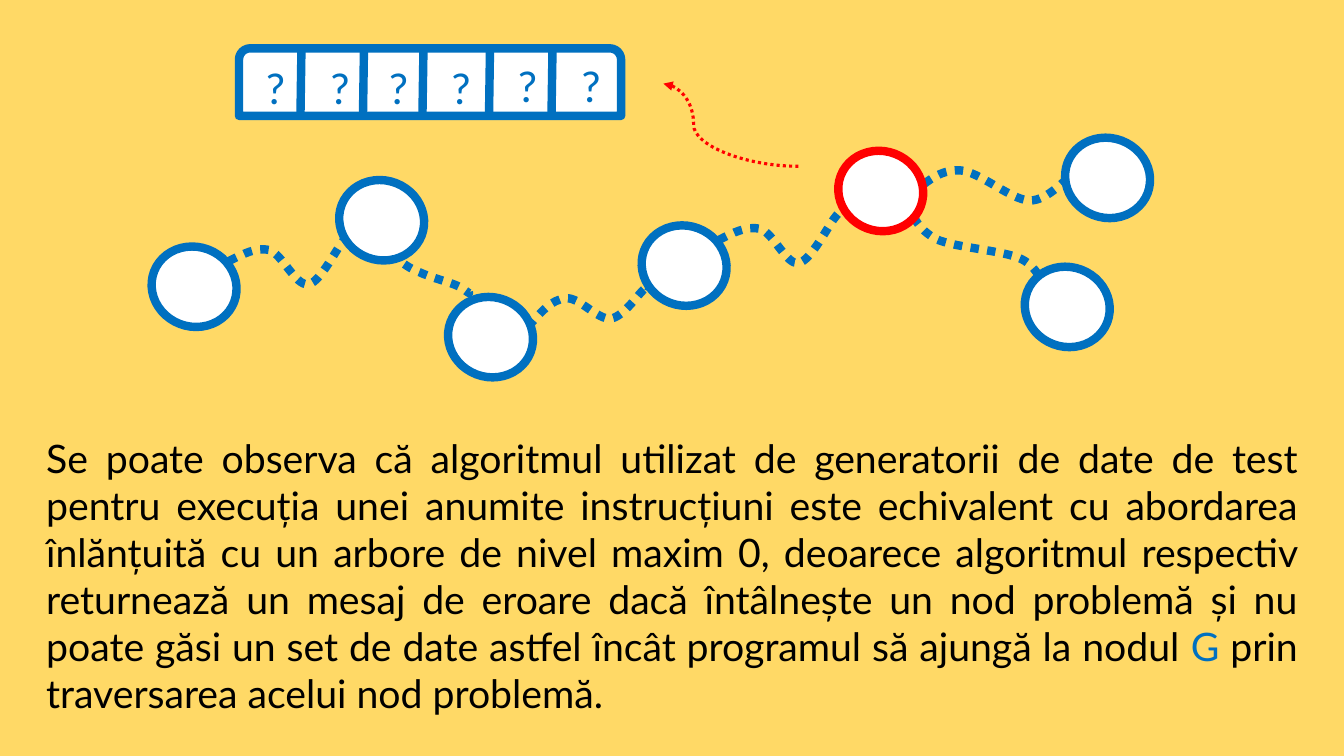
import dataclasses
import typing

import pptx
import pptx.dml.color
import pptx.enum.dml
import pptx.enum.shapes
import pptx.enum.text
import pptx.oxml
import pptx.oxml.ns
import pptx.util

RGB = pptx.dml.color.RGBColor
GOLD = RGB(0xFF, 0xD9, 0x66)
BLUE = RGB(0x00, 0x70, 0xC0)
RED = RGB(0xFF, 0x00, 0x00)
WHITE = RGB(0xFF, 0xFF, 0xFF)
BLACK = RGB(0x00, 0x00, 0x00)

KIND = pptx.enum.shapes.MSO_SHAPE
WIRE = pptx.enum.shapes.MSO_CONNECTOR
ALIGN = pptx.enum.text.PP_ALIGN
DOTS = pptx.enum.dml.MSO_LINE.ROUND_DOT
QN = pptx.oxml.ns.qn
SCALE = 9144  # EMU in one px, 100 px to the inch
TILT = 290.9


@dataclasses.dataclass
class Node:
    x: int
    y: int
    color: RGB = BLUE


@dataclasses.dataclass
class Link:
    start: tuple[int, int]
    curve: list[tuple[int, int]]  # three points for each Bézier piece


@dataclasses.dataclass
class Mark:
    x: int
    y: int = 54


LINKS = [
    Link((713, 238), [(727, 231), (740, 224), (754, 227), (767, 231), (780, 263), (792, 261),
                      (804, 259), (822, 223), (828, 216), (834, 208), (832, 212), (830, 217)]),
    Link((900, 200), [(905, 214), (910, 227), (928, 237), (947, 246), (994, 248), (1013, 257),
                      (1031, 266), (1035, 285), (1039, 291), (1044, 297), (1043, 294), (1041, 292)]),
    Link((904, 193), [(918, 181), (932, 168), (952, 169), (971, 170), (1002, 198), (1021, 199),
                      (1040, 199), (1057, 176), (1065, 173), (1073, 169), (1072, 173), (1070, 177)]),
    Link((227, 259), [(241, 252), (254, 245), (267, 248), (280, 252), (293, 284), (306, 282),
                      (318, 280), (335, 244), (342, 237), (348, 229), (346, 234), (344, 238)]),
    Link((401, 262), [(404, 264), (408, 267), (416, 270), (424, 274), (442, 279), (450, 282),
                      (458, 285), (461, 288), (464, 290), (466, 291), (465, 291), (465, 290)]),
    Link((524, 324), [(536, 310), (547, 297), (561, 296), (574, 294), (593, 318), (606, 316),
                      (619, 314), (634, 290), (640, 286), (646, 282), (645, 285), (643, 289)]),
]
NODES = [Node(834, 147, RED), Node(1019, 262), Node(1059, 134), Node(153, 242),
         Node(339, 176), Node(447, 292), Node(639, 221)]
BARS = [299, 361, 420, 486, 548]
MARKS = [Mark(253), Mark(317), Mark(375), Mark(437), Mark(503, 52), Mark(566, 52)]

BEFORE = (
    "Se poate observa că algoritmul utilizat de generatorii de date de test pentru "
    "execuția unei anumite instrucțiuni este echivalent cu abordarea înlănțuită cu un "
    "arbore de nivel maxim 0, deoarece algoritmul respectiv returnează un mesaj de "
    "eroare dacă întâlnește un nod problemă și nu poate găsi un set de date astfel "
    "încât programul să ajungă la nodul "
)
AFTER = "prin traversarea acelui nod problemă."


def px(*sizes: int) -> list[int]:
    return [size * SCALE for size in sizes]


def stroke(item: typing.Any, color: RGB, width: float = 6, dots: bool = False) -> None:
    item.line.color.rgb = color
    item.line.width = pptx.util.Pt(width)
    if dots:
        item.line.dash_style = DOTS


def shape(page: typing.Any, kind: KIND, box: tuple[int, ...], color: RGB, turn: float = 0) -> None:
    item = page.shapes.add_shape(kind, *px(*box))
    item.rotation = turn
    item.shadow.inherit = False
    item.fill.solid()
    item.fill.fore_color.rgb = WHITE
    stroke(item, color)


def draw(page: typing.Any, link: Link) -> None:
    pen = page.shapes.build_freeform(*link.start, scale=float(SCALE))
    pen.add_line_segments(link.curve, close=False)
    item = pen.convert_to_shape()
    item.shadow.inherit = False
    item.fill.background()
    stroke(item, BLUE, dots=True)
    # Join each three straight steps into one Bézier piece
    steps = list(item._element.iter(QN("a:lnTo")))
    for first, *rest in zip(steps[::3], steps[1::3], steps[2::3]):
        for step in rest:
            first.append(step[0])
            step.getparent().remove(step)
        first.tag = QN("a:cubicBezTo")


def wire(page: typing.Any, kind: WIRE, ends: tuple[int, ...], color: RGB,
         width: float = 6, dots: bool = False) -> typing.Any:
    item = page.shapes.add_connector(kind, *px(*ends))
    stroke(item, color, width, dots)
    item._element.spPr.append(pptx.oxml.parse_xml(
        f'<a:effectLst {pptx.oxml.ns.nsdecls("a")}/>'))
    return item


def write(page: typing.Any, runs: list[tuple[str, RGB]], box: tuple[int, ...], *, font: str,
          size: int, align: ALIGN = ALIGN.LEFT, wrap: bool = True) -> None:
    frame = page.shapes.add_textbox(*px(*box)).text_frame
    frame.word_wrap = wrap
    frame.auto_size = pptx.enum.text.MSO_AUTO_SIZE.SHAPE_TO_FIT_TEXT
    para = frame.paragraphs[0]
    para.alignment = align
    for text, color in runs:
        run = para.add_run()
        run.text = text
        run.font.name = font
        run.font.size = pptx.util.Pt(size)
        run.font.color.rgb = color


def main() -> None:
    deck = pptx.Presentation()
    deck.slide_width, deck.slide_height = px(1333, 750)
    page = deck.slides.add_slide(deck.slide_layouts[6])
    page.background.fill.solid()
    page.background.fill.fore_color.rgb = GOLD

    # Graph
    for link in LINKS:
        draw(page, link)
    for node in NODES:
        shape(page, KIND.OVAL, (node.x, node.y, 79, 85), node.color, TILT)

    # Explanation
    write(page, [(BEFORE, BLACK), ("G ", BLUE), (AFTER, BLACK)], (36, 426, 1261, 246),
          font="Lato", size=28, align=ALIGN.JUSTIFY)

    # Row of unknown values
    shape(page, KIND.ROUND_2_SAME_RECTANGLE, (237, 48, 379, 67), BLUE)
    for x in BARS:
        wire(page, WIRE.STRAIGHT, (x, 48, x - 1, 115), BLUE)
    for mark in MARKS:
        write(page, [("?", BLUE)], (mark.x, mark.y, 41, 64), font="Calibri", size=32, wrap=False)

    # Arrow from the problem node to the row
    arrow = wire(page, WIRE.CURVE, (792, 165, 658, 83), RED, 2.25, dots=True)
    bend = arrow._element.spPr.find(QN("a:prstGeom")).get_or_add_avLst()
    bend.append(pptx.oxml.parse_xml(
        f'<a:gd {pptx.oxml.ns.nsdecls("a")} name="adj1" fmla="val 77600"/>'))
    arrow.line._get_or_add_ln().append(pptx.oxml.parse_xml(
        f'<a:tailEnd {pptx.oxml.ns.nsdecls("a")} type="triangle"/>'))

    deck.save("out.pptx")


if __name__ == "__main__":
    main()
